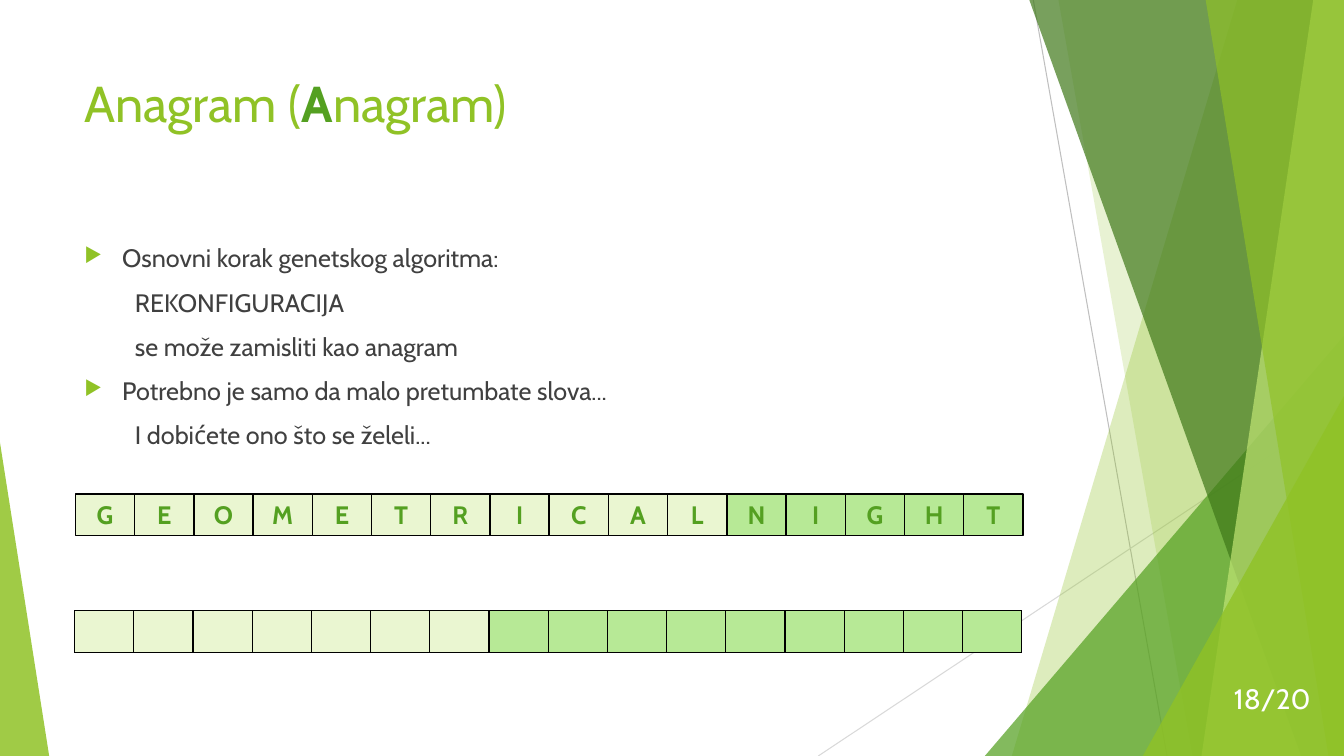
"""Builds the anagram slide: angled green backdrop, bullet text and two letter strips."""
from dataclasses import dataclass
from typing import Any, Optional, Union

from lxml import etree
from pptx import Presentation
from pptx import util as u
from pptx.dml import color
from pptx.enum import shapes, text
from pptx.oxml import ns


@dataclass(frozen=True)
class Theme:
    """Colours, font and type sizes of the slide."""
    lime: str = "90C226"
    green: str = "54A021"
    forest: str = "3F7819"
    pale: str = "C0E474"
    first_word: str = "EAF6D1"
    second_word: str = "B7E996"
    ink: str = "404040"
    black: str = "000000"
    white: str = "FFFFFF"
    steep_ray: str = "BFBFBF"
    flat_ray: str = "D9D9D9"
    font: str = "Cabin"
    title: int = 36
    body: int = 18
    page: int = 20


@dataclass(frozen=True)
class Ray:
    """A thin backdrop line between two points in centimetres."""
    x1: float
    y1: float
    x2: float
    y2: float
    colour: str


@dataclass(frozen=True)
class Shard:
    """A slanted panel reaching from its left edge to the right of the slide."""
    top_x: float
    bottom_x: float
    colour: str
    opacity: int


@dataclass(frozen=True)
class Wedge:
    """A right triangle standing on the bottom of the slide."""
    left: float
    top: float
    width: float
    apex: float
    colour: str
    opacity: int


@dataclass(frozen=True)
class Point:
    """A body paragraph, with or without a bullet."""
    wording: str
    bullet: bool = False


@dataclass(frozen=True)
class Strip:
    """A row of equal cells whose colour changes after the first word."""
    left: float
    top: float
    first_word: int


THEME = Theme()
WIDTH, HEIGHT, BLEED = 33.87, 19.05, -0.03
LETTERS = "GEOMETRICALNIGHT"
STRIP_WIDTH, STRIP_HEIGHT = 23.88, 1.05
CELL = STRIP_WIDTH / len(LETTERS)
ANAGRAM = Strip(1.9, 12.45, len("GEOMETRICAL"))
SOLUTION = Strip(1.88, 15.39, 7)
RAYS = [Ray(26.04, 0, 29.41, HEIGHT, THEME.steep_ray),
        Ray(WIDTH, 10.24, 20.62, HEIGHT, THEME.flat_ray)]
BACKDROP: list[Union[Shard, Wedge]] = [
    Shard(31.19, 25.5, THEME.lime, 30),
    Shard(26.67, 30.05, THEME.lime, 20),
    Wedge(24.82, 8.46, 9.05, 1, THEME.green, 72),
    Shard(25.93, 32.79, THEME.forest, 70),
    Shard(33.1, 30.28, THEME.pale, 70),
    Shard(30.38, 33.48, THEME.lime, 65),
    Wedge(28.8, 9.98, 5.07, 1, THEME.lime, 80),
    Wedge(0, 11.15, 1.24, 0, THEME.lime, 85),
]
POINTS = [Point("Osnovni korak genetskog algoritma:", True),
          Point("REKONFIGURACIJA"),
          Point("se može zamisliti kao anagram"),
          Point("Potrebno je samo da malo pretumbate slova...", True),
          Point("I dobićete ono što se želeli...")]


def apply(target: Any, values: dict[str, Any]) -> None:
    """Set each named attribute on the target."""
    for name, value in values.items():
        setattr(target, name, value)


def child(parent: Any, tag: str, **attributes: str) -> Any:
    """Append an XML element and return it."""
    return etree.SubElement(parent, ns.qn(tag), attributes)


def paint(shape: Any, colour: str, opacity: int = 100, outline: Optional[str] = None) -> None:
    """Fill a shape, with an optional black-style outline."""
    shape.shadow.inherit = False
    shape.fill.solid()
    shape.fill.fore_color.rgb = color.RGBColor.from_string(colour)
    if opacity < 100:
        tint = shape.fill._xPr.find(".//" + ns.qn("a:srgbClr"))
        child(tint, "a:alpha", val=str(opacity * 1000))
    if outline:
        shape.line.color.rgb = color.RGBColor.from_string(outline)
        shape.line.width = u.Pt(1)
    else:
        shape.line.fill.background()


def write(paragraph: Any, wording: str, size: int, colour: str, bold: bool = False) -> None:
    """Add one styled run to a paragraph."""
    run = paragraph.add_run()
    run.text = wording
    apply(run.font, {"name": THEME.font, "size": u.Pt(size), "bold": bold})
    run.font.color.rgb = color.RGBColor.from_string(colour)


def add_frame(slide: Any, left: float, top: float, width: float, height: float) -> Any:
    """Add a wrapping text box and return its text frame."""
    frame = slide.shapes.add_textbox(*map(u.Cm, (left, top, width, height))).text_frame
    frame.word_wrap = True
    return frame


def draw_ray(slide: Any, ray: Ray) -> None:
    """Draw one thin backdrop line."""
    line = slide.shapes.add_connector(
        shapes.MSO_CONNECTOR.STRAIGHT, *map(u.Cm, (ray.x1, ray.y1, ray.x2, ray.y2)))
    line.line.color.rgb = color.RGBColor.from_string(ray.colour)
    line.line.width = u.Pt(0.75)
    child(line._element.spPr, "a:effectLst")


def draw_facet(slide: Any, facet: Union[Shard, Wedge]) -> None:
    """Draw one translucent backdrop panel."""
    if isinstance(facet, Shard):
        outline = slide.shapes.build_freeform(u.Cm(facet.top_x), u.Cm(BLEED))
        corners = [(WIDTH, BLEED), (WIDTH, HEIGHT), (facet.bottom_x, HEIGHT)]
        outline.add_line_segments([(u.Cm(x), u.Cm(y)) for x, y in corners])
        panel = outline.convert_to_shape()
    else:
        panel = slide.shapes.add_shape(
            shapes.MSO_SHAPE.ISOSCELES_TRIANGLE,
            *map(u.Cm, (facet.left, facet.top, facet.width, HEIGHT - facet.top)))
        panel.adjustments[0] = facet.apex
    paint(panel, facet.colour, facet.opacity)


def draw_point(paragraph: Any, point: Point) -> None:
    """Write one body paragraph with its indent and bullet."""
    paragraph.space_before = u.Pt(10)
    properties = paragraph._p.get_or_add_pPr()
    indent = u.Cm(0.95 if point.bullet else 1.27)
    properties.set("marL", str(indent))
    properties.set("indent", str(-indent if point.bullet else 0))
    if point.bullet:
        child(child(properties, "a:buClr"), "a:srgbClr", val=THEME.lime)
        child(properties, "a:buSzPct", val="80000")
        child(properties, "a:buChar", char="▶")
    write(paragraph, point.wording, THEME.body, THEME.ink)


def word_colour(strip: Strip, index: int) -> str:
    """Return the fill of a cell by the word it belongs to."""
    return THEME.first_word if index < strip.first_word else THEME.second_word


def draw_letters(slide: Any, strip: Strip) -> None:
    """Draw the strip of lettered tiles."""
    for index, letter in enumerate(LETTERS):
        tile = slide.shapes.add_shape(
            shapes.MSO_SHAPE.RECTANGLE,
            *map(u.Cm, (strip.left + index * CELL, strip.top, CELL, STRIP_HEIGHT)))
        paint(tile, word_colour(strip, index), outline=THEME.black)
        margins = dict.fromkeys(("margin_left", "margin_top", "margin_right", "margin_bottom"), 0)
        apply(tile.text_frame, {**margins, "vertical_anchor": text.MSO_ANCHOR.MIDDLE})
        paragraph = tile.text_frame.paragraphs[0]
        paragraph.alignment = text.PP_ALIGN.CENTER
        write(paragraph, letter, THEME.body, THEME.green, bold=True)


def draw_solution(slide: Any, strip: Strip) -> None:
    """Draw the empty table that awaits the rearranged letters."""
    table = slide.shapes.add_table(
        1, len(LETTERS), *map(u.Cm, (strip.left, strip.top, STRIP_WIDTH, STRIP_HEIGHT))).table
    apply(table, {"first_row": False, "horz_banding": False})
    for index, cell in enumerate(table.iter_cells()):
        table.columns[index].width = u.Cm(CELL)
        apply(cell, {"margin_top": 0, "margin_bottom": 0})
        for side in "LRTB":
            edge = child(cell._tc.get_or_add_tcPr(), f"a:ln{side}", w=str(u.Pt(1)))
            child(child(edge, "a:solidFill"), "a:srgbClr", val=THEME.black)
        cell.fill.solid()
        cell.fill.fore_color.rgb = color.RGBColor.from_string(word_colour(strip, index))


def main() -> None:
    """Assemble and save the slide."""
    deck = Presentation()
    apply(deck, {"slide_width": u.Cm(WIDTH), "slide_height": u.Cm(HEIGHT)})
    slide = deck.slides.add_slide(deck.slide_layouts[6])
    for ray in RAYS:
        draw_ray(slide, ray)
    for facet in BACKDROP:
        draw_facet(slide, facet)
    title = add_frame(slide, 1.88, 1.7, 23.88, 3.66).paragraphs[0]
    write(title, "Anagram (", THEME.title, THEME.lime)
    write(title, "A", THEME.title, THEME.green, bold=True)
    write(title, "nagram)", THEME.title, THEME.lime)
    body = add_frame(slide, 1.88, 5.99, 23.88, 10.77)
    for index, point in enumerate(POINTS):
        draw_point(body.add_paragraph() if index else body.paragraphs[0], point)
    draw_solution(slide, SOLUTION)
    draw_letters(slide, ANAGRAM)
    page = add_frame(slide, 30.56, 16.79, 2.72, 1.6)
    page.vertical_anchor = text.MSO_ANCHOR.MIDDLE
    page.paragraphs[0].alignment = text.PP_ALIGN.RIGHT
    write(page.paragraphs[0], "18/20", THEME.page, THEME.white)
    deck.save("out.pptx")


if __name__ == "__main__":
    main()
